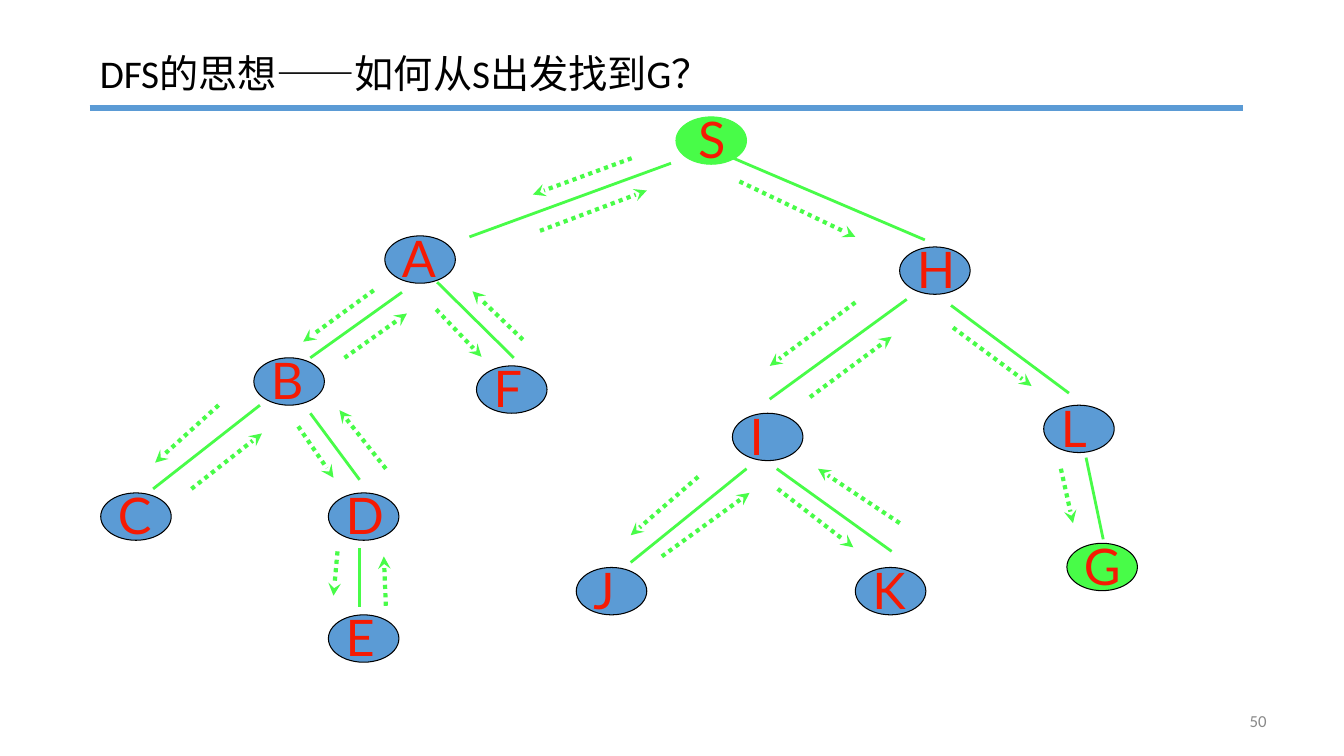
import dataclasses

import pptx
import pptx.dml.color
import pptx.enum.dml
import pptx.enum.shapes
import pptx.enum.text
import pptx.oxml
import pptx.oxml.ns
import pptx.util

CELL = pptx.util.Inches(0.1)
COLUMNS, ROWS = 133.4, 75


@dataclasses.dataclass(frozen=True)
class Theme:
    blue: str = "5B9BD5"
    green: str = "48FC48"
    red: str = "F51A03"
    black: str = "000000"
    grey: str = "898989"
    body_font: str = "Calibri"
    letter_font: str = "Lato"
    title_size: float = 28
    letter_size: float = 36
    number_size: float = 12
    rule_width: float = 4
    edge_width: float = 2
    step_width: float = 3
    outline_width: float = 0.75


@dataclasses.dataclass(frozen=True)
class Box:
    left: float
    top: float
    width: float
    height: float

    def inner(self, column, row, width, height):
        return Box(self.left + column, self.top + row, width, height)

    def point(self, column, row):
        return cells(self.left + column), cells(self.top + row)

    def frame(self):
        return [cells(n) for n in (self.left, self.top, self.width, self.height)]


THEME = Theme()
NODE_WIDTH, NODE_HEIGHT = 7, 4.7
LETTER_WIDTH, LETTER_HEIGHT = 2.6, 6

NODES = {
    "S": (57.1, 1.6), "A": (28.2, 13.4), "B": (15.2, 25.5), "C": (0, 38.9),
    "D": (22.6, 38.9), "E": (22.6, 51), "F": (37.3, 26.3), "H": (79.3, 14.5),
    "I": (62.7, 31), "J": (47.2, 46.3), "K": (74.9, 46.3), "L": (93.6, 30.2),
    "G": (95.9, 43.9),
}

BRANCHES = {
    "SA": [(56.6, 6.2, 36.6, 13.5), (52.7, 5.7, 42.9, 9.3), (43.6, 12.9, 54.2, 8.9)],
    "AB": [(29.9, 19, 20.8, 25.5), (27.1, 18.8, 20.1, 23.9), (24.2, 25.5, 30.4, 21.1)],
    "BC": [(15.8, 30.2, 5.2, 38.5), (11.7, 30.2, 5.4, 35.9), (9, 38.5, 16, 33)],
    "BD": [(20.8, 31, 25.7, 37.6), (19.6, 32.3, 23.1, 37.4), (28.3, 36.5, 23.7, 30.7)],
    "DE": [(25.7, 44.4, 25.7, 50.2), (23.5, 44.7, 23.1, 49.1), (28.3, 50.1, 28.1, 45.2)],
    "AF": [(33.4, 18, 41, 25.5), (33.3, 20.7, 37.8, 25.4), (41.9, 23.7, 36.9, 18.9)],
    "SH": [(62.8, 5.7, 81.8, 13.8), (63.4, 8, 74.9, 13.5)],
    "HI": [(80, 19.7, 66.4, 29.6), (74.9, 20, 66.4, 26.3), (70.4, 29.4, 78.5, 23.4)],
    "IJ": [(64.1, 36.5, 52.6, 45.8), (59.3, 37.3, 52.6, 43.1), (55.7, 45.2, 64.4, 38.9)],
    "IK": [(67.1, 36.5, 78.5, 44.7), (67.2, 38.5, 74.7, 44.3), (79.3, 41.9, 71.2, 36.5)],
    "HL": [(84.4, 20.3, 96.1, 29), (84.6, 22.5, 92.4, 28.3)],
    "LG": [(97.8, 35.4, 99.5, 43.5), (95.3, 36.5, 96.5, 41.9)],
}


def cells(count):
    return round(count * CELL)


def rgb(value):
    return pptx.dml.color.RGBColor.from_string(value)


def write(shape, text, font, size, color, align="LEFT", anchor="MIDDLE", margins=(0, 0)):
    frame = shape.text_frame
    frame.word_wrap = True
    frame.auto_size = pptx.enum.text.MSO_AUTO_SIZE.NONE
    frame.vertical_anchor = pptx.enum.text.MSO_ANCHOR[anchor]
    frame.margin_left = frame.margin_right = cells(margins[0])
    frame.margin_top = frame.margin_bottom = cells(margins[1])
    frame.text = text
    paragraph = frame.paragraphs[0]
    paragraph.alignment = pptx.enum.text.PP_ALIGN[align]
    paragraph.font.name = font
    paragraph.font.size = pptx.util.Pt(size)
    paragraph.font.color.rgb = rgb(color)


def add_line(slide, box, ends, color, width, arrow=False):
    start, finish = box.point(*ends[:2]), box.point(*ends[2:])
    line = slide.shapes.add_connector(
        pptx.enum.shapes.MSO_CONNECTOR.STRAIGHT, *start, *finish)
    line.line.color.rgb = rgb(color)
    line.line.width = pptx.util.Pt(width)
    properties = line._element.spPr
    if arrow:
        line.line.dash_style = pptx.enum.dml.MSO_LINE.ROUND_DOT
        head = pptx.oxml.parse_xml(
            f'<a:tailEnd {pptx.oxml.ns.nsdecls("a")} type="stealth"/>')
        properties.find(pptx.oxml.ns.qn("a:ln")).append(head)
    properties.append(pptx.oxml.parse_xml(
        f'<a:effectLst {pptx.oxml.ns.nsdecls("a")}/>'))


def add_heading(slide, box):
    title = slide.shapes.title
    title_box = box.inner(0, 0, box.width - 1.1, 5.7)
    title.left, title.top, title.width, title.height = title_box.frame()
    write(title, "DFS的思想——如何从S出发找到G？", THEME.body_font, THEME.title_size,
          THEME.black, anchor="TOP", margins=(1, 0.5))
    add_line(slide, box, (0, box.height, box.width, box.height), THEME.blue, THEME.rule_width)


def add_node(slide, box, name):
    node = slide.shapes.add_shape(pptx.enum.shapes.MSO_SHAPE.OVAL, *box.frame())
    node.shadow.inherit = False
    node.fill.solid()
    node.fill.fore_color.rgb = rgb(THEME.green if name in "SG" else THEME.blue)
    node.line.color.rgb = rgb(THEME.green if name == "S" else THEME.black)
    node.line.width = pptx.util.Pt(THEME.outline_width)
    indent = 2.2 if name == "S" else 1.7
    letter_box = box.inner(indent, -0.85, LETTER_WIDTH, LETTER_HEIGHT)
    letter = slide.shapes.add_textbox(*letter_box.frame())
    write(letter, name, THEME.letter_font, THEME.letter_size, THEME.red)


def add_tree(slide, box):
    for name, corner in NODES.items():
        add_node(slide, box.inner(*corner, NODE_WIDTH, NODE_HEIGHT), name)
    for edge, *steps in BRANCHES.values():
        add_line(slide, box, edge, THEME.green, THEME.edge_width)
        for step in steps:
            add_line(slide, box, step, THEME.green, THEME.step_width, arrow=True)


def add_page_number(slide, box):
    number = slide.shapes.add_textbox(*box.frame())
    write(number, "50", THEME.body_font, THEME.number_size, THEME.grey,
          align="RIGHT", margins=(1, 0.5))


def main():
    deck = pptx.Presentation()
    deck.slide_width, deck.slide_height = cells(COLUMNS), cells(ROWS)
    slide = deck.slides.add_slide(deck.slide_layouts.get_by_name("Title Only"))
    add_heading(slide, Box(8.9, 4.4, 114.5, 6.3))
    add_tree(slide, Box(10, 10, 103, 56))
    add_page_number(slide, Box(95.6, 69.5, 31.1, 4))
    deck.save("out.pptx")


if __name__ == "__main__":
    main()
